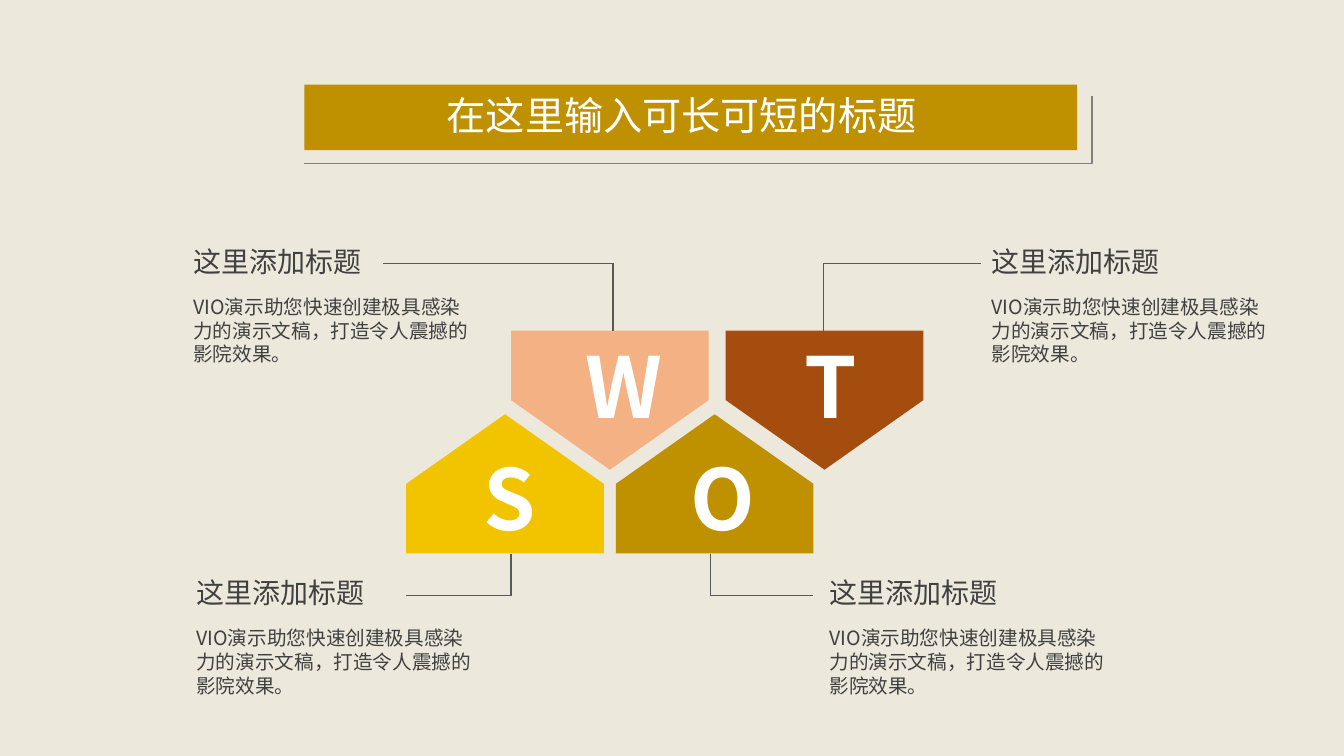
from dataclasses import dataclass

from lxml import etree
from pptx import Presentation
from pptx import util as u
from pptx.dml.color import RGBColor
from pptx.enum import shapes, text
from pptx.oxml.ns import qn


@dataclass(frozen=True)
class Theme:
    back: str = "ECE8DC"
    gold: str = "BF9000"
    sun: str = "F2C400"
    peach: str = "F4B183"
    rust: str = "A54C0F"
    white: str = "FFFFFF"
    ink: str = "404040"
    rule: str = "595959"
    edge: str = "7F7F7F"
    font: str = "Noto Sans CJK SC"
    title: int = 28
    mark: int = 60
    head: int = 20
    body: int = 14


COLS, ROWS = 80, 45


class Board:
    """Draws on one slide; every length is in grid columns and rows."""

    def __init__(self, deck, theme):
        self.theme = theme
        self.col = deck.slide_width / COLS
        self.row = deck.slide_height / ROWS
        self.page = deck.slides.add_slide(deck.slide_layouts[5])
        self.paint(self.page.background.fill, theme.back)

    def x(self, cols):
        return round(cols * self.col)

    def y(self, rows):
        return round(rows * self.row)

    def box(self, left, top, wide, high):
        return self.x(left), self.y(top), self.x(wide), self.y(high)

    def paint(self, fill, color):
        fill.solid()
        fill.fore_color.rgb = RGBColor.from_string(color)

    def plain(self, shape, color):
        shape.shadow.inherit = False
        self.paint(shape.fill, color)
        shape.line.fill.background()

    def bar(self, area, color):
        shape = self.page.shapes.add_shape(
            shapes.MSO_SHAPE.RECTANGLE, *self.box(*area))
        self.plain(shape, color)

    def outline(self, points, close):
        spots = [(self.x(a), self.y(b)) for a, b in points]
        pen = self.page.shapes.build_freeform(*spots[0])
        pen.add_line_segments(spots[1:], close=close)
        return pen.convert_to_shape()

    def house(self, left, top, wide, high, color, down):
        # Outline as shares of the box; a downward house is mirrored
        form = [(0, .5), (.5, 0), (1, .5), (1, 1), (0, 1)]
        points = [(left + wide * a, top + high * (1 - b if down else b))
                  for a, b in form]
        self.plain(self.outline(points, True), color)

    def frame(self, points, color, width):
        shape = self.outline(points, False)
        shape.shadow.inherit = False
        shape.fill.background()
        self.paint(shape.line.fill, color)
        shape.line.width = u.Pt(width)

    def line(self, start, end, width):
        rule = self.page.shapes.add_connector(
            shapes.MSO_CONNECTOR.STRAIGHT, self.x(start[0]), self.y(start[1]),
            self.x(end[0]), self.y(end[1]))
        self.paint(rule.line.fill, self.theme.rule)
        rule.line.width = u.Pt(width)
        etree.SubElement(rule._element.spPr, qn("a:effectLst"))

    def letter(self, shape, words, size, color, bold=False):
        frame = shape.text_frame
        form = dict(word_wrap=True, auto_size=text.MSO_AUTO_SIZE.NONE,
                    vertical_anchor=text.MSO_ANCHOR.TOP,
                    margin_left=u.Inches(.1), margin_right=u.Inches(.1),
                    margin_top=u.Inches(.05), margin_bottom=u.Inches(.05))
        for name, value in form.items():
            setattr(frame, name, value)
        para = frame.paragraphs[0]
        para.alignment = text.PP_ALIGN.LEFT
        para.line_spacing = 1.0
        run = para.add_run()
        run.text = words
        style = dict(name=self.theme.font, size=u.Pt(size), bold=bold)
        for name, value in style.items():
            setattr(run.font, name, value)
        run.font.color.rgb = RGBColor.from_string(color)
        east = etree.SubElement(run._r.get_or_add_rPr(), qn("a:ea"))
        east.set("typeface", self.theme.font)

    def label(self, area, *style):
        self.letter(self.page.shapes.add_textbox(*self.box(*area)), *style)

    def title(self, area, words):
        shape = self.page.shapes.title
        shape.left, shape.top, shape.width, shape.height = self.box(*area)
        self.letter(shape, words, self.theme.title, self.theme.white)
        # Bring the title in front of its bar
        self.page.shapes._spTree.append(shape._element)


HEAD = "这里添加标题"
BODY = "VIO演示助您快速创建极具感染力的演示文稿，打造令人震撼的影院效果。"


def main():
    deck = Presentation()
    deck.slide_width, deck.slide_height = u.Inches(13.34), u.Inches(7.5)
    look = Theme()
    board = Board(deck, look)

    # Title banner
    board.bar((18.12, 5.04, 46, 3.9), look.gold)
    board.frame([(18.12, 9.72), (65, 9.72), (65, 5.7)], look.edge, 1)
    board.title((26, 5.16, 30.3, 3.42), "在这里输入可长可短的标题")

    # Houses: letter, colour, left, letter left, stem, rule end, caption left
    low = [("S", look.sun, 24.18, 28.2, 30.42, 24.18, 11.1),
           ("O", look.gold, 36.66, 40.5, 42.3, 48.42, 48.78)]
    high = [("W", look.peach, 30.42, 34.26, 36.48, 22.8, 10.92),
            ("T", look.rust, 43.2, 47.28, 49.02, 58.38, 58.44)]

    # Rows: items, house top, letter top, stem start, rule, caption top, down
    bands = [(low, 24.66, 26.28, 33, 35.46, 33.96, False),
             (high, 19.68, 19.62, 19.68, 15.66, 14.25, True)]

    for items, top, rise, start, turn, cap, down in bands:
        for mark, color, left, inset, stem, end, side in items:
            board.house(left, top, 11.76, 8.28, color, down)
            board.label((inset, rise, 4.44, 6.6),
                        mark, look.mark, look.white, True)
            # Elbow from house to caption
            board.line((stem, start), (stem, turn), 1)
            board.line((stem, turn), (end, turn), .5)
            # Caption
            board.label((side, cap, 13.14, 2.64), HEAD, look.head, look.ink)
            board.label((side, cap + 3.03, 18.2, 4.8),
                        BODY, look.body, look.ink)

    deck.save("out.pptx")


if __name__ == "__main__":
    main()
